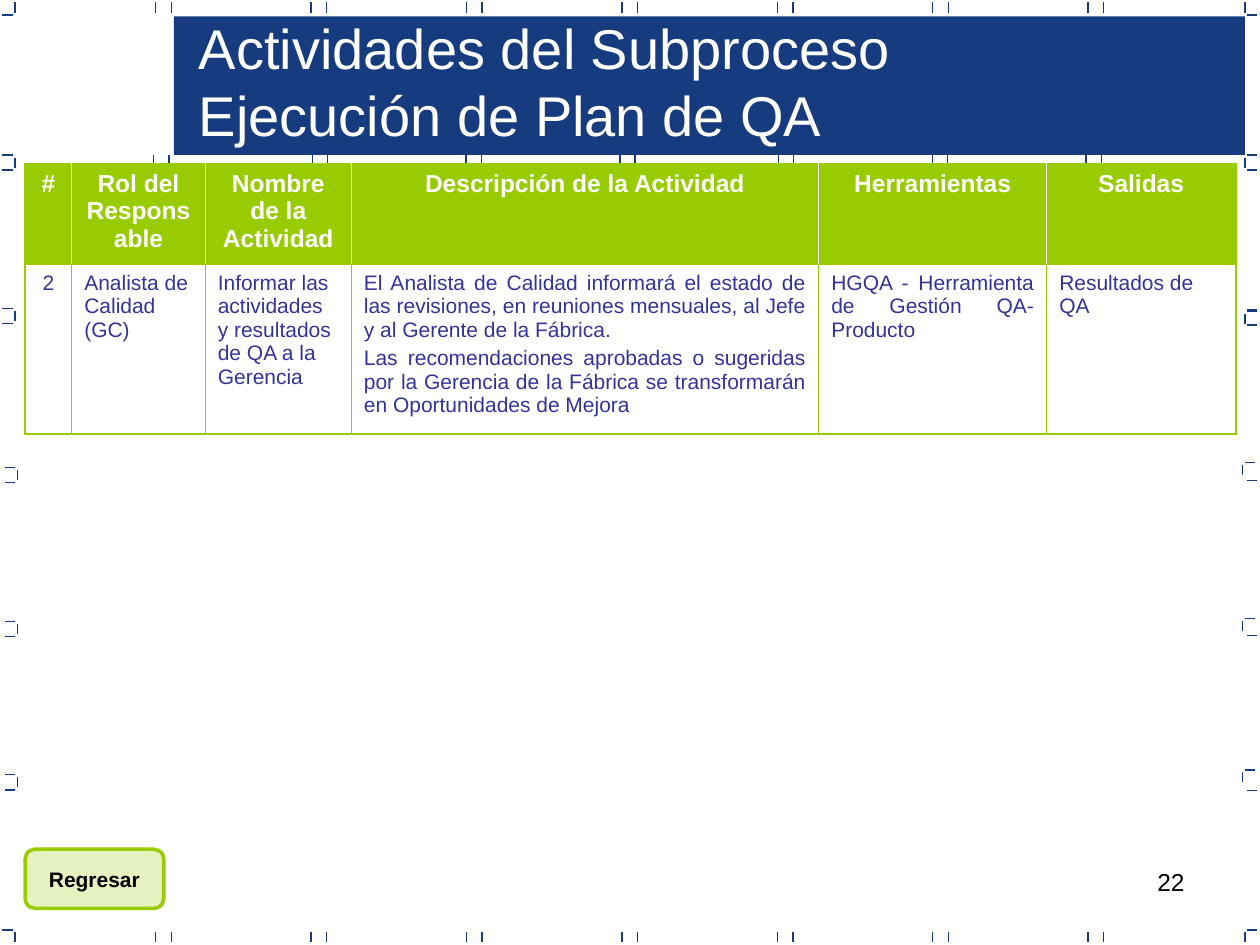
from lxml import etree
from pptx import Presentation
from pptx import util as u
from pptx.dml import color
from pptx.enum import shapes, text
from pptx.oxml import ns

Pt = u.Pt
NAVY, GREEN, INDIGO, WHITE, BLACK = "163B7F", "99CC00", "333399", "FFFFFF", "000000"
LEFT, CENTER = text.PP_ALIGN.LEFT, text.PP_ALIGN.CENTER
RIGHT, JUSTIFY = text.PP_ALIGN.RIGHT, text.PP_ALIGN.JUSTIFY
TICK, GAP = 5.76, 1.44
COLUMNS = [26.6, 76.3, 83.5, 267.1, 130.3, 108]
HEADERS = ["#", "Rol del Responsable", "Nombre de la Actividad",
           "Descripción de la Actividad", "Herramientas", "Salidas"]
# text, alignment, space before, space after
ACTIVITY = [
    (["2"], CENTER, 3, 0),
    (["Analista de Calidad (GC)"], LEFT, 3, 0),
    (["Informar las actividades y resultados de QA a la Gerencia"], LEFT, 3, 0),
    (["El Analista de Calidad informará el estado de las revisiones, en reuniones "
      "mensuales, al Jefe y al Gerente de la Fábrica.",
      "Las recomendaciones aprobadas o sugeridas por la Gerencia de la Fábrica se "
      "transformarán en Oportunidades de Mejora"], JUSTIFY, 3, 0),
    (["HGQA - Herramienta de Gestión QA-Producto"], JUSTIFY, 7.1, 7.1),
    (["Resultados de QA"], LEFT, 3, 0),
]


def rgb(value):
    """Return the colour of a hex string."""
    return color.RGBColor.from_string(value)


def write(tf, lines, size=12, fill=BLACK, bold=False, align=LEFT, before=0, after=0):
    """Write one paragraph per line into a text frame."""
    for i, line in enumerate(lines):
        p = tf.paragraphs[0] if i == 0 else tf.add_paragraph()
        p.alignment = align
        p.space_before, p.space_after = Pt(before), Pt(after)
        r = p.add_run()
        r.text = line
        r.font.name, r.font.size, r.font.bold = "Arial", Pt(size), bold
        r.font.color.rgb = rgb(fill)


def add_text(s, box, lines, **fmt):
    """Add a wrapping text box."""
    tf = s.shapes.add_textbox(*map(Pt, box)).text_frame
    tf.word_wrap = True
    write(tf, lines, **fmt)


def add_block(s, kind, box, fill, alpha=None, line=None):
    """Add a filled preset shape, with optional transparency and outline."""
    sp = s.shapes.add_shape(kind, *map(Pt, box))
    sp.shadow.inherit = False
    sp.fill.solid()
    sp.fill.fore_color.rgb = rgb(fill)
    if alpha:
        clr = sp._element.spPr.find(".//" + ns.qn("a:srgbClr"))
        etree.SubElement(clr, ns.qn("a:alpha"), val=str(alpha * 1000))
    if line:
        sp.line.color.rgb = rgb(line)
        sp.line.width = Pt(2)
    else:
        sp.line.fill.background()
    return sp


def add_tick(s, x, y, dx=0, dy=0):
    """Add one short border line."""
    c = s.shapes.add_connector(shapes.MSO_CONNECTOR.STRAIGHT,
                               Pt(x), Pt(y), Pt(x + dx), Pt(y + dy))
    c.line.color.rgb = rgb(NAVY)
    c.line.width = Pt(0.74)
    etree.SubElement(c._element.spPr, ns.qn("a:effectLst"))


def add_bracket(s, x, y, side, above=True, below=True):
    """Add a vertical tick with horizontal ticks towards one side (-1 or 1)."""
    add_tick(s, x, y, dy=TICK)
    for shown, edge in ((above, y - GAP), (below, y + TICK + GAP)):
        if shown:
            add_tick(s, x + side * GAP, edge, dx=side * TICK)


def add_border(s):
    """Draw the dashed frame around the slide."""
    top, bottom, left, right = GAP, 532.8, 8.64, 711.36
    for k in range(7):
        x = 97.9 + 88.8 * k
        for y in (top, bottom):
            add_tick(s, x, y, dy=TICK)
            add_tick(s, x - 8.9, y, dy=TICK)
    for x in (96.5, 187.2, 275, 362.9, 453.6, 541.4, 629.3):
        add_tick(s, x, 88.6, dy=TICK)
        add_tick(s, x - 8.64, 88.6, dy=TICK)
    for x, side in ((left, -1), (right, 1)):
        add_bracket(s, x, top, side, above=False)
        add_bracket(s, x, bottom, side, below=False)
    for shift, y in ((0, 90), (0, 177.8), (GAP, 268.6), (GAP, 356.4), (GAP, 444.2)):
        add_bracket(s, left + shift, y, -1)
    for shift, y in ((0, 90), (0, 179.3), (GAP, 265.7), (GAP, 355), (GAP, 441.4)):
        add_bracket(s, right - shift, y, 1, below=False)
    for k in range(5):
        add_tick(s, right + GAP, 97.2 + 88.6 * k, dx=TICK)
    add_tick(s, right + GAP, 177.1, dx=TICK)


def set_borders(cell, **edges):
    """Set cell edges L, R, T, B, each given as (colour, width)."""
    tcPr = cell._tc.get_or_add_tcPr()
    for i, side in enumerate("LRTB"):
        hue, width = edges[side]
        ln = etree.Element(ns.qn("a:ln" + side), w=str(int(Pt(width))))
        fill = etree.SubElement(ln, ns.qn("a:solidFill"))
        etree.SubElement(fill, ns.qn("a:srgbClr"), val=hue)
        tcPr.insert(i, ln)


def add_activities(s):
    """Add the table of activities."""
    tbl = s.shapes.add_table(2, len(COLUMNS), Pt(14.4), Pt(93.6),
                             Pt(sum(COLUMNS)), Pt(154.1)).table
    tbl.horz_banding = False
    for row, height in zip(tbl.rows, (57.6, 96.5)):
        row.height = Pt(height)
    outer, middle = (GREEN, 1.08), (GREEN, 0.74)
    last = len(COLUMNS) - 1
    for j, width in enumerate(COLUMNS):
        tbl.columns[j].width = Pt(width)
        head, body = tbl.cell(0, j), tbl.cell(1, j)
        head.fill.solid()
        head.fill.fore_color.rgb = rgb(GREEN)
        body.fill.background()
        write(head.text_frame, [HEADERS[j]], size=14, fill=WHITE, bold=True,
              align=CENTER, before=3.5)
        lines, align, before, after = ACTIVITY[j]
        write(body.text_frame, lines, fill=INDIGO, align=align,
              before=before, after=after)
        for cell, inner, t, b in ((head, (WHITE, 0.74), outer, middle),
                                  (body, (GREEN, 0.45), middle, outer)):
            set_borders(cell, L=inner if j else outer,
                        R=inner if j < last else outer, T=t, B=b)


def main():
    """Build the slide and save it."""
    prs = Presentation()
    prs.slide_width, prs.slide_height = Pt(720), Pt(540)
    s = prs.slides.add_slide(prs.slide_layouts[6])
    add_text(s, (516.2, 491.8, 167.8, 37.4), ["22"], size=14, align=RIGHT)
    add_border(s)
    kind = shapes.MSO_SHAPE
    add_block(s, kind.RECTANGLE, (99.4, 9.4, 612, 79.2), NAVY)
    add_activities(s)
    add_text(s, (106.6, 4.3, 599, 84.2),
             ["Actividades del Subproceso", "Ejecución de Plan de QA"],
             size=32, fill=WHITE)
    sp = add_block(s, kind.FLOWCHART_ALTERNATE_PROCESS, (14.4, 485.3, 79.2, 33.8),
                   GREEN, alpha=25, line=GREEN)
    tf = sp.text_frame
    tf.word_wrap = False
    tf.vertical_anchor = text.MSO_ANCHOR.MIDDLE
    write(tf, ["Regresar"], bold=True, align=CENTER)
    prs.save("out.pptx")


main()
